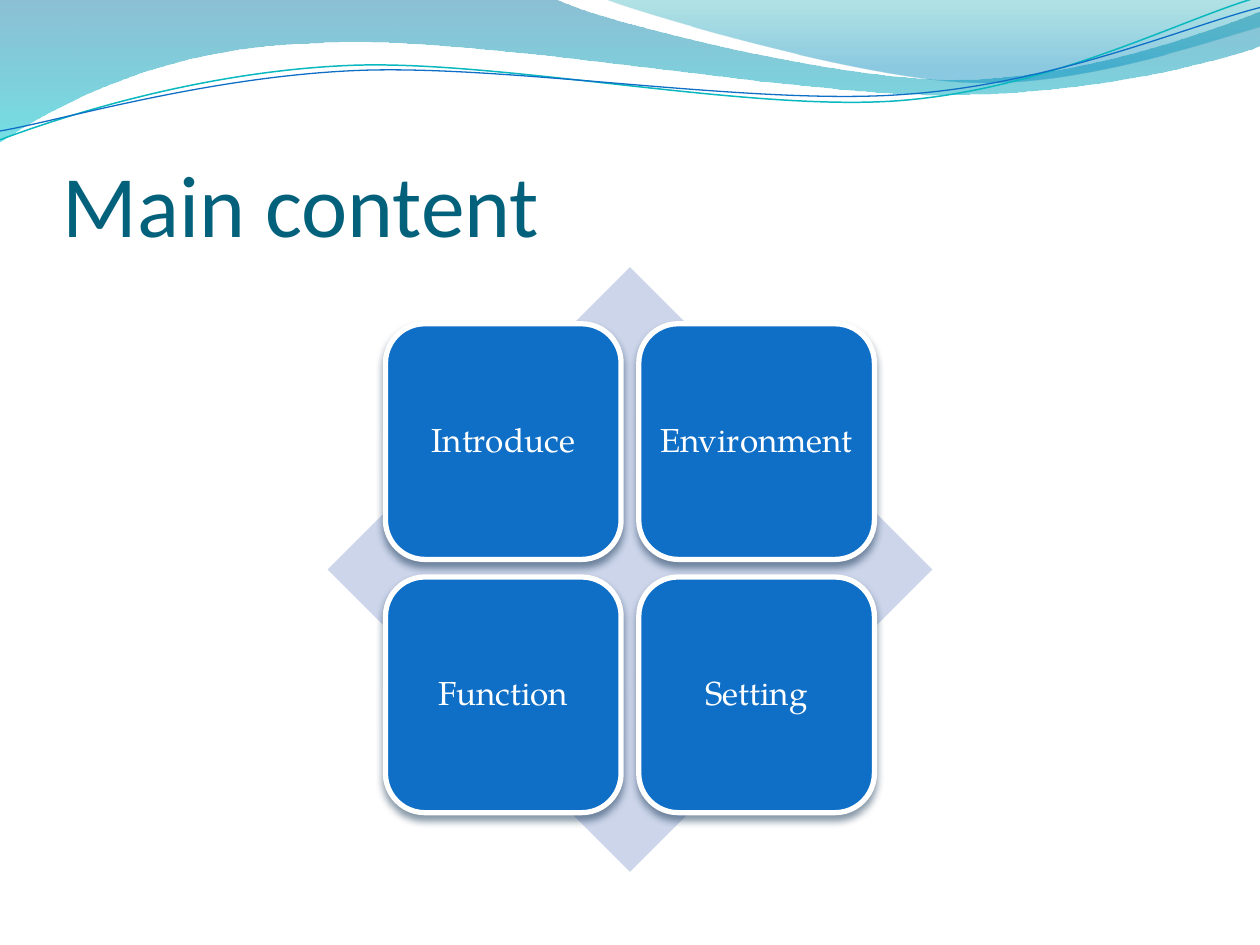
import dataclasses
import typing

import pptx
import pptx.dml.color
import pptx.enum.shapes
import pptx.enum.text
import pptx.oxml
import pptx.oxml.ns
import pptx.util

Inches, Pt = pptx.util.Inches, pptx.util.Pt
MSO_SHAPE = pptx.enum.shapes.MSO_SHAPE
ANCHOR, ALIGN = pptx.enum.text.MSO_ANCHOR, pptx.enum.text.PP_ALIGN
NS = 'xmlns:a="http://schemas.openxmlformats.org/drawingml/2006/main"'
Point = tuple[float, float]


@dataclasses.dataclass(frozen=True)
class Theme:
    """Colours, fonts and type sizes."""
    title: str = "04617B"
    tile: str = "0F6FC6"
    diamond: str = "CCD5EA"
    white: str = "FFFFFF"
    shadow: str = "042747"
    title_font: str = "Calibri"
    tile_font: str = "TeX Gyre Pagella"
    title_size: float = 50
    tile_size: float = 19


@dataclasses.dataclass(frozen=True)
class Stop:
    """Gradient stop: position and opacity in percent."""
    pos: int
    color: str
    opacity: int


@dataclasses.dataclass(frozen=True)
class Wave:
    """Outline of segments; a tuple of two is a corner, of six a Bezier curve."""
    start: Point
    segments: list[tuple[float, ...]]
    stops: tuple[Stop, ...] = ()
    line: str = ""
    width: float = 0


THEME = Theme()
WIDTH, HEIGHT = 10, 7.5
TILE, PITCH = 1.87, 2.01
TILES_LEFT, TILES_TOP = 3.06, 2.57
DIAMOND = 4.8
TILES = [["Introduce", "Environment"], ["Function", "Setting"]]
WAVES = [
    Wave((0, 0), [(4.4, -0.01), (4.76, 0.17, 6.64, 0.63, 7.58, 0.63),
                  (8.53, 0.63, 9.58, 0.26, 10, 0.09), (10.01, 0.36),
                  (9.83, 0.44, 8.7, 0.76, 7.46, 0.75),
                  (6.22, 0.75, 3.82, 0.28, 2.57, 0.34),
                  (1.29, 0.36, 0.46, 0.83, -0.01, 1.13)],
         stops=(Stop(0, "0074A1", 45), Stop(100, "00C6CF", 55))),
    Wave((4.79, -0.01), [(5.09, 0.11, 6.82, 0.62, 7.69, 0.65),
                         (8.56, 0.69, 9.61, 0.32, 10, 0.21), (10, 0)],
         stops=(Stop(0, "00A1A9", 30), Stop(80, "008BBF", 45))),
    Wave((0, 1.11), [(0.48, 0.93, 1.58, 0.57, 2.77, 0.52),
                     (3.95, 0.47, 5.93, 0.89, 7.13, 0.8),
                     (8.33, 0.71, 9.38, 0.15, 9.98, -0.02)],
         line="0AB8BF", width=0.85),
    Wave((0, 1.04), [(0.47, 0.96, 1.64, 0.61, 2.83, 0.56),
                     (4.03, 0.51, 5.97, 0.84, 7.17, 0.75),
                     (8.36, 0.67, 9.41, 0.21, 10, 0.06)],
         line="0F6FC6", width=0.75),
]


def rgb(color: str) -> pptx.dml.color.RGBColor:
    """Turn a hex string into a colour."""
    return pptx.dml.color.RGBColor.from_string(color)


def set_all(target: typing.Any, values: dict[str, typing.Any]) -> None:
    """Set every attribute named in values."""
    for name, value in values.items():
        setattr(target, name, value)


def paint(sp: typing.Any, fill: str = "", line: str = "", width: float = 0) -> None:
    """Give a shape a flat fill and line, or none, and no shadow."""
    sp.shadow.inherit = False
    if fill:
        sp.fill.solid()
        sp.fill.fore_color.rgb = rgb(fill)
    else:
        sp.fill.background()
    if line:
        sp.line.color.rgb = rgb(line)
        sp.line.width = Pt(width)
    else:
        sp.line.fill.background()


def color_xml(color: str, opacity: int) -> str:
    """Markup of a colour with opacity in percent."""
    return f'<a:srgbClr val="{color}"><a:alpha val="{opacity * 1000}"/></a:srgbClr>'


def add_gradient(sp: typing.Any, stops: tuple[Stop, ...]) -> None:
    """Replace the empty fill with a top-to-bottom gradient."""
    gs = "".join(f'<a:gs pos="{s.pos * 1000}">{color_xml(s.color, s.opacity)}</a:gs>'
                 for s in stops)
    props = sp._element.spPr
    old = props.find(pptx.oxml.ns.qn("a:noFill"))
    props.replace(old, pptx.oxml.parse_xml(
        f'<a:gradFill {NS} rotWithShape="1"><a:gsLst>{gs}</a:gsLst>'
        '<a:lin ang="5400000" scaled="0"/></a:gradFill>'))


def add_shadow(sp: typing.Any) -> None:
    """Add a soft shadow below the shape."""
    effects = sp._element.spPr.find(pptx.oxml.ns.qn("a:effectLst"))
    effects.append(pptx.oxml.parse_xml(
        f'<a:outerShdw {NS} blurRad="{Pt(4.5)}" dist="{Pt(3)}" dir="5400000" '
        f'rotWithShape="0">{color_xml(THEME.shadow, 48)}</a:outerShdw>'))


def bend(sp: typing.Any, segments: list[tuple[float, ...]]) -> None:
    """Turn the straight segments that have control points into curves."""
    lines = list(sp._element.spPr.iter(pptx.oxml.ns.qn("a:lnTo")))
    for line, seg in zip(lines, segments):
        if len(seg) == 6:
            pts = "".join(f'<a:pt x="{Inches(x) - sp.left}" y="{Inches(y) - sp.top}"/>'
                          for x, y in zip(seg[::2], seg[1::2]))
            line.getparent().replace(line, pptx.oxml.parse_xml(
                f"<a:cubicBezTo {NS}>{pts}</a:cubicBezTo>"))


def add_wave(s: typing.Any, wave: Wave) -> None:
    """Draw a filled wave or a wavy line."""
    builder = s.shapes.build_freeform(*map(Inches, wave.start))
    ends = [(Inches(seg[-2]), Inches(seg[-1])) for seg in wave.segments]
    builder.add_line_segments(ends, close=bool(wave.stops))
    sp = builder.convert_to_shape()
    bend(sp, wave.segments)
    paint(sp, line=wave.line, width=wave.width)
    if wave.stops:
        add_gradient(sp, wave.stops)


def write(sp: typing.Any, text: str, frame: dict, para: dict, font: dict, color: str) -> None:
    """Put one formatted line of text into a shape."""
    tf = sp.text_frame
    set_all(tf, {"word_wrap": True, **frame})
    p = tf.paragraphs[0]
    set_all(p, para)
    r = p.add_run()
    r.text = text
    set_all(r.font, font)
    r.font.color.rgb = rgb(color)


def add_tile(s: typing.Any, col: int, row: int, text: str) -> None:
    """Draw a rounded tile at its place in the grid."""
    sp = s.shapes.add_shape(
        MSO_SHAPE.ROUNDED_RECTANGLE, Inches(TILES_LEFT + col * PITCH),
        Inches(TILES_TOP + row * PITCH), Inches(TILE), Inches(TILE))
    paint(sp, THEME.tile, THEME.white, 3)
    add_shadow(sp)
    margins = {f"margin_{side}": Inches(0.08) for side in ("left", "top", "right", "bottom")}
    write(sp, text, {"vertical_anchor": ANCHOR.MIDDLE, **margins},
          {"alignment": ALIGN.CENTER, "line_spacing": 0.9},
          {"name": THEME.tile_font, "size": Pt(THEME.tile_size)}, THEME.white)


def add_title(s: typing.Any, text: str) -> None:
    """Write the slide title."""
    sp = s.shapes.add_textbox(Inches(0.5), Inches(0.77), Inches(WIDTH - 1), Inches(1.25))
    write(sp, text,
          {"vertical_anchor": ANCHOR.BOTTOM, "margin_left": 0, "margin_right": 0,
           "margin_top": Inches(0.05), "margin_bottom": 0}, {"alignment": ALIGN.LEFT},
          {"name": THEME.title_font, "size": Pt(THEME.title_size)}, THEME.title)


def main() -> None:
    """Build and save the slide."""
    prs = pptx.Presentation()
    set_all(prs, {"slide_width": Inches(WIDTH), "slide_height": Inches(HEIGHT)})
    s = prs.slides.add_slide(prs.slide_layouts[6])
    for wave in WAVES:
        add_wave(s, wave)
    add_title(s, "Main content")
    sp = s.shapes.add_shape(MSO_SHAPE.DIAMOND, Inches((WIDTH - DIAMOND) / 2), Inches(2.12),
                            Inches(DIAMOND), Inches(DIAMOND))
    paint(sp, THEME.diamond)
    for row, names in enumerate(TILES):
        for col, name in enumerate(names):
            add_tile(s, col, row, name)
    prs.save("out.pptx")


main()
